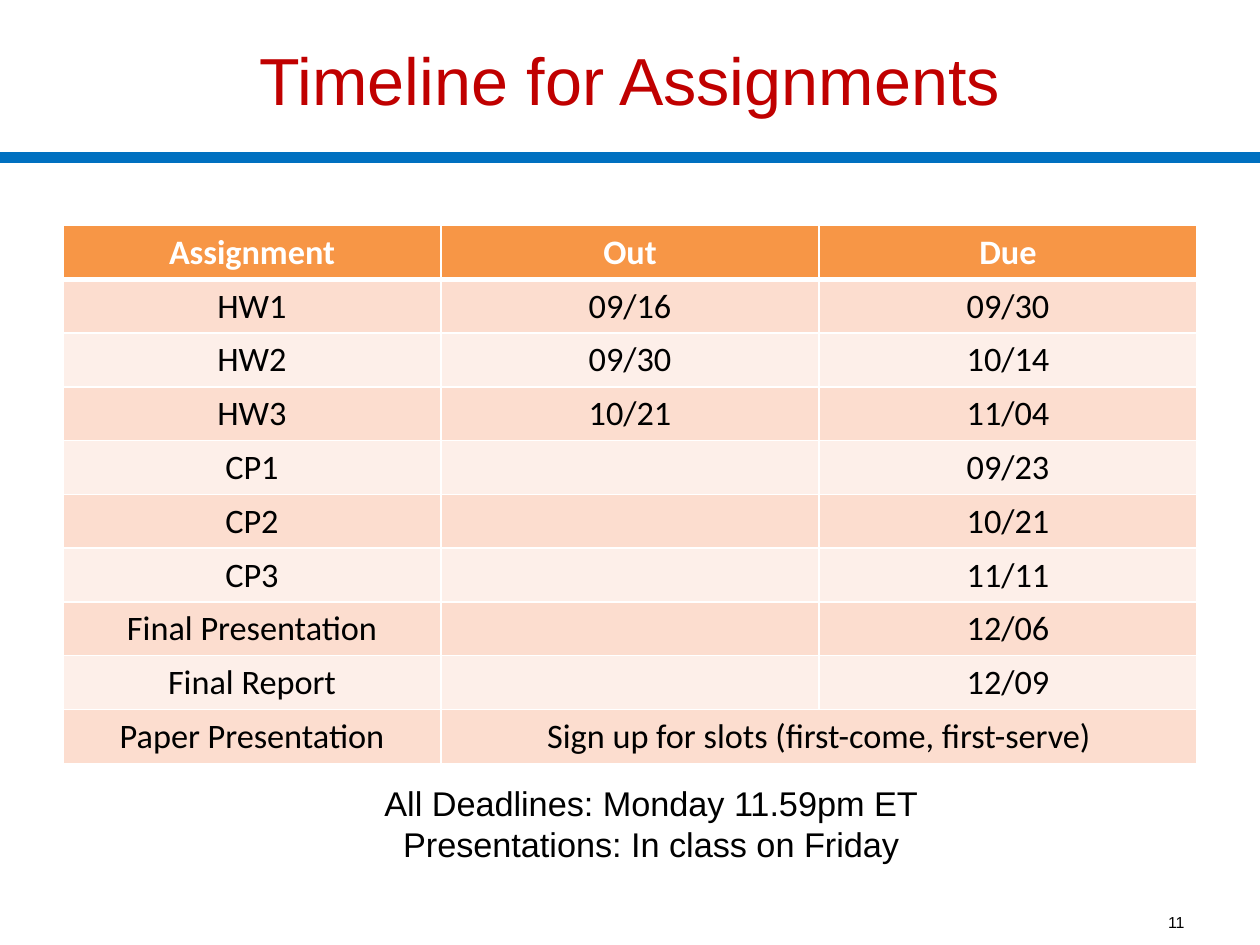
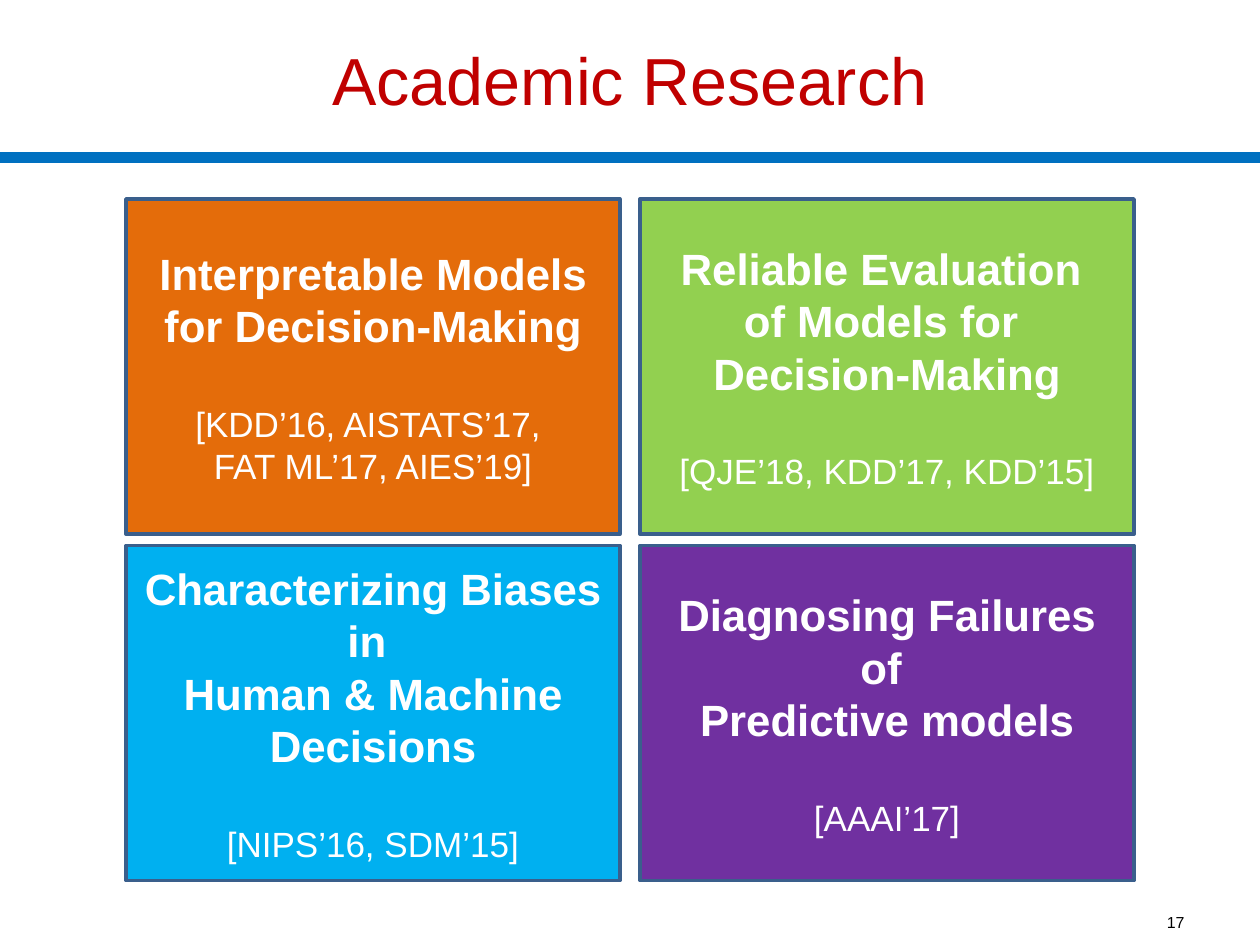
from lxml import etree
from pptx import Presentation
from pptx.dml.color import RGBColor
from pptx.enum.shapes import MSO_CONNECTOR, MSO_SHAPE
from pptx.enum.text import MSO_ANCHOR, PP_ALIGN
from pptx.oxml.ns import qn
from pptx.util import Inches, Pt

CENTER, RIGHT = PP_ALIGN.CENTER, PP_ALIGN.RIGHT
TOP, MIDDLE = MSO_ANCHOR.TOP, MSO_ANCHOR.MIDDLE
RECT, STRAIGHT = MSO_SHAPE.RECTANGLE, MSO_CONNECTOR.STRAIGHT

# Shared look
WHITE, BLACK = "FFFFFF", "000000"
TITLE_RED, RULE_BLUE, BOX_EDGE = "C00000", "0070C0", "3A5F8C"
HEADER_FILL, BAND_FILLS = "F79646", ("FCDDCF", "FDEFE9")
SLIDE_W, SLIDE_H, TITLE_H = 10, 7.5, 1.25

ASSIGNMENTS = [
    ("Assignment", "Out", "Due"),
    ("HW1", "09/16", "09/30"),
    ("HW2", "09/30", "10/14"),
    ("HW3", "10/21", "11/04"),
    ("CP1", "", "09/23"),
    ("CP2", "", "10/21"),
    ("CP3", "", "11/11"),
    ("Final Presentation", "", "12/06"),
    ("Final Report", "", "12/09"),
    ("Paper Presentation", "Sign up for slots (first-come, first-serve)", ""),
]

# Fill, topic lines, venue lines; row by row
TOPICS = [
    ("E46C0A", ["Interpretable Models for Decision-Making"],
     ["[KDD’16, AISTATS’17, ", "FAT ML’17, AIES’19]"]),
    ("92D050", ["Reliable Evaluation ", "of Models for ", "Decision-Making"],
     ["[QJE’18, KDD’17, KDD’15]"]),
    ("00B0F0", ["Characterizing Biases in ", "Human & Machine Decisions"],
     ["[NIPS’16, SDM’15]"]),
    ("7030A0", ["Diagnosing Failures of ", "Predictive models"],
     ["[AAAI’17]"]),
]


def rgb(hex_color):
    return RGBColor.from_string(hex_color)


def write(tf, text, size=18, color=BLACK, font="Arial", bold=False,
          align=CENTER, before=0):
    """Add one paragraph, using the empty first one if there is one."""
    p = tf.paragraphs[0]
    if p.runs:
        p = tf.add_paragraph()
    p.alignment = align
    if before:
        p.space_before = Pt(before)
    r = p.add_run()
    r.text = text
    r.font.name, r.font.size, r.font.bold = font, Pt(size), bold
    r.font.color.rgb = rgb(color)


def add_text_box(slide, box, lines, anchor=TOP, wrap=True, **fmt):
    sp = slide.shapes.add_textbox(*map(Inches, box))
    tf = sp.text_frame
    tf.word_wrap, tf.vertical_anchor = wrap, anchor
    for line in lines:
        write(tf, line, **fmt)


def add_rule(slide, y, color, width):
    line = slide.shapes.add_connector(
        STRAIGHT, 0, Inches(y), Inches(SLIDE_W), Inches(y))
    line.line.color.rgb = rgb(color)
    line.line.width = Pt(width)
    etree.SubElement(line._element.spPr, qn("a:effectLst"))


def add_base_slide(prs, title, number):
    slide = prs.slides.add_slide(prs.slide_layouts[6])
    add_rule(slide, TITLE_H, RULE_BLUE, 6)
    add_text_box(slide, (0, 0, SLIDE_W, TITLE_H), [title], anchor=MIDDLE,
                 size=38, color=TITLE_RED)
    add_text_box(slide, (7.17, 7.23, 2.33, 0.18), [str(number)],
                 anchor=MIDDLE, size=9.1, align=RIGHT)
    return slide


def set_borders(cell, color, **widths):
    """Draw cell edges; call before the fill, which must follow them."""
    tc_pr = cell._tc.get_or_add_tcPr()
    for side in "LRTB":
        ln = etree.SubElement(tc_pr, qn(f"a:ln{side}"),
                              w=str(Pt(widths.get(side, 1))))
        fill = etree.SubElement(ln, qn("a:solidFill"))
        etree.SubElement(fill, qn("a:srgbClr"), val=color)


def add_schedule(slide, rows, left, top, col_w, row_h):
    n_rows, n_cols = len(rows), len(rows[0])
    table = slide.shapes.add_table(
        n_rows, n_cols, Inches(left), Inches(top),
        Inches(col_w * n_cols), Inches(row_h * n_rows)).table
    for i, row in enumerate(rows):
        table.rows[i].height = Inches(row_h)
        header = i == 0
        edges = {0: {"B": 3}, 1: {"T": 3}}.get(i, {})
        for j, text in enumerate(row):
            cell = table.cell(i, j)
            set_borders(cell, WHITE, **edges)
            cell.fill.solid()
            cell.fill.fore_color.rgb = rgb(
                HEADER_FILL if header else BAND_FILLS[(i - 1) % 2])
            if text:
                write(cell.text_frame, text, size=19.6, font="Calibri",
                      color=WHITE if header else BLACK, bold=header)
    # The sign-up note spans both date columns
    table.cell(n_rows - 1, 1).merge(table.cell(n_rows - 1, 2))


def add_topic_box(slide, box, fill, topic, venues):
    sp = slide.shapes.add_shape(RECT, *map(Inches, box))
    sp.shadow.inherit = False
    sp.fill.solid()
    sp.fill.fore_color.rgb = rgb(fill)
    sp.line.color.rgb = rgb(BOX_EDGE)
    sp.line.width = Pt(2)
    tf = sp.text_frame
    tf.word_wrap, tf.vertical_anchor = True, MIDDLE
    for line in topic:
        write(tf, line, size=25, color=WHITE, bold=True)
    for i, line in enumerate(venues):
        write(tf, line, size=20, color=WHITE, before=0 if i else 29)


def build_timeline(prs):
    slide = add_base_slide(prs, "Timeline for Assignments", 11)
    add_schedule(slide, ASSIGNMENTS, left=0.5, top=1.79, col_w=3, row_h=0.41)
    add_text_box(slide, (2.92, 6.16, 4.5, 0.76),
                 ["All Deadlines: Monday 11.59pm ET",
                  "Presentations: In class on Friday"],
                 wrap=False, size=19.6)


def build_research(prs):
    slide = add_base_slide(prs, "Academic Research", 17)
    box_w, box_h, gap_x, gap_y = 3.92, 2.66, 0.16, 0.09
    for i, (fill, topic, venues) in enumerate(TOPICS):
        row, col = divmod(i, 2)
        box = (1 + col * (box_w + gap_x), 1.58 + row * (box_h + gap_y),
               box_w, box_h)
        add_topic_box(slide, box, fill, topic, venues)


def main():
    prs = Presentation()
    prs.slide_width, prs.slide_height = Inches(SLIDE_W), Inches(SLIDE_H)
    build_timeline(prs)
    build_research(prs)
    prs.save("out.pptx")


if __name__ == "__main__":
    main()
